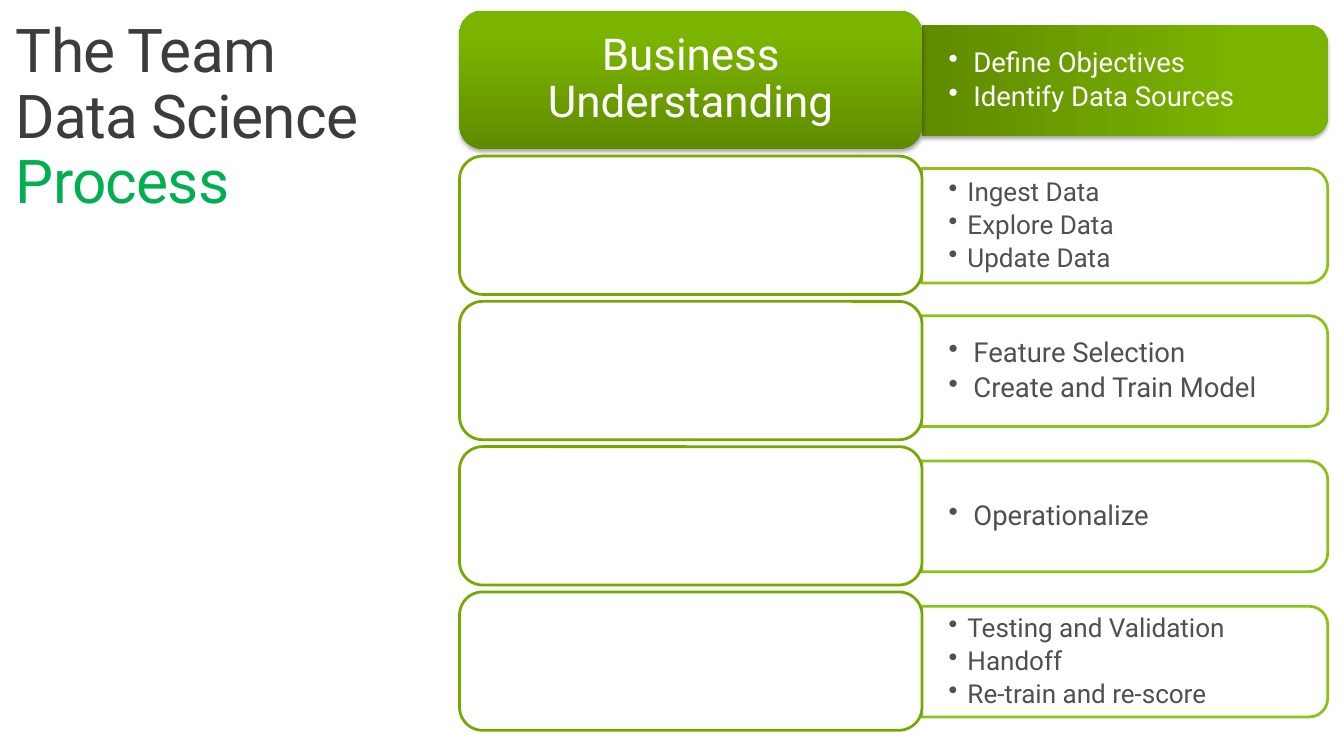
"""Build the slide on the team data science process, with five stages and their steps."""
from lxml import etree
from pptx import Presentation
from pptx import util as u
from pptx.dml.color import RGBColor
from pptx.enum import shapes, text
from pptx.oxml.ns import qn

PX = 9144
FONT = "Roboto"
COLORS = {
    "title": "3C3C3C", "accent": "00B050", "body": "505050", "white": "FFFFFF",
    "dark": "5F8B00", "light": "7BB400", "stage line": "73A900",
    "panel line": "8CC11A", "shadow": "000000",
}
STAGES = [
    ("Business Understanding", ["Define Objectives", "Identify Data Sources"]),
    ("", ["Ingest Data", "Explore Data", "Update Data"]),
    ("", ["Feature Selection", "Create and Train Model"]),
    ("", ["Operationalize"]),
    ("", ["Testing and Validation", "Handoff", "Re-train and re-score"]),
]
STAGE_LEFT, STAGE_TOP, STAGE_WIDTH, STAGE_HEIGHT, PITCH = 465, 11, 468, 140, 147
PANEL_LEFT, PANEL_WIDTH = STAGE_LEFT + STAGE_WIDTH, 411
LIST_WIDTH, LIST_HEIGHT = 405, 101


def add_run(paragraph, words, size, color):
    run = paragraph.add_run()
    run.text = words
    run.font.name = FONT
    run.font.size = u.Pt(size)
    run.font.color.rgb = RGBColor.from_string(COLORS[color])
    return run


def paint(shape, active, line_color):
    shape.shadow.inherit = False
    if not active:
        shape.fill.solid()
        shape.fill.fore_color.rgb = RGBColor.from_string(COLORS["white"])
        shape.line.color.rgb = RGBColor.from_string(COLORS[line_color])
        shape.line.width = u.Pt(2)
        return
    shape.line.fill.background()
    shape.fill.gradient()
    shape.fill.gradient_angle = 90
    for stop, color, position in zip(shape.fill.gradient_stops, ("dark", "light"), (0, 0.8)):
        stop.color.rgb = RGBColor.from_string(COLORS[color])
        stop.position = position
    effects = shape._element.spPr.find(qn("a:effectLst"))
    shadow = etree.SubElement(effects, qn("a:outerShdw"), blurRad=str(u.Pt(3.1)),
                              dist=str(u.Pt(1.8)), dir="5400000", rotWithShape="0")
    shade = etree.SubElement(shadow, qn("a:srgbClr"), val=COLORS["shadow"])
    etree.SubElement(shade, qn("a:alpha"), val="35000")


presentation = Presentation()
presentation.slide_width, presentation.slide_height = 1360 * PX, 765 * PX
slide = presentation.slides.add_slide(presentation.slide_layouts[5])

title = slide.shapes.title
title.left, title.top, title.width, title.height = 0, 11 * PX, 386 * PX, 226 * PX
frame = title.text_frame
frame.word_wrap = True
frame.auto_size = text.MSO_AUTO_SIZE.NONE
frame.vertical_anchor = text.MSO_ANCHOR.TOP
frame.margin_left = frame.margin_right = 16 * PX
frame.margin_top = frame.margin_bottom = 10 * PX
paragraph = frame.paragraphs[0]
paragraph.alignment = text.PP_ALIGN.LEFT
paragraph.line_spacing = 0.9
for words, color in (("The Team Data Science ", "title"), ("Process", "accent")):
    run = add_run(paragraph, words, 44, color)
    run._r.get_or_add_rPr().set("spc", "-60")

for row, (stage_name, steps) in enumerate(STAGES):
    active = row == 0
    crowded = len(steps) > 2
    top = STAGE_TOP + row * PITCH
    middle = top + STAGE_HEIGHT // 2

    panel_height = 116 if row == 1 else 112
    panel = slide.shapes.add_shape(
        shapes.MSO_SHAPE.ROUND_2_SAME_RECTANGLE,
        (PANEL_LEFT + (PANEL_WIDTH - panel_height) // 2) * PX,
        (middle - PANEL_WIDTH // 2) * PX, panel_height * PX, PANEL_WIDTH * PX)
    panel.rotation = 90
    paint(panel, active, "panel line")

    step_list = slide.shapes.add_textbox(PANEL_LEFT * PX, (middle - LIST_HEIGHT // 2) * PX,
                                         LIST_WIDTH * PX, LIST_HEIGHT * PX)
    frame = step_list.text_frame
    frame.word_wrap = True
    frame.vertical_anchor = text.MSO_ANCHOR.MIDDLE
    frame.margin_left = frame.margin_right = 27 * PX
    frame.margin_top = frame.margin_bottom = 14 * PX
    indent = (19 if crowded else 25) * PX
    for index, step in enumerate(steps):
        paragraph = frame.add_paragraph() if index else frame.paragraphs[0]
        paragraph.line_spacing = 0.9
        paragraph.space_after = u.Pt(3.5)
        properties = paragraph._p.get_or_add_pPr()
        properties.set("marL", str(indent))
        properties.set("indent", str(-indent))
        etree.SubElement(properties, qn("a:buChar"), char="•")
        add_run(paragraph, step, 19 if crowded else 20, "white" if active else "body")

    stage = slide.shapes.add_shape(shapes.MSO_SHAPE.ROUNDED_RECTANGLE, STAGE_LEFT * PX,
                                   top * PX, STAGE_WIDTH * PX, STAGE_HEIGHT * PX)
    paint(stage, active, "stage line")
    if stage_name:
        frame = stage.text_frame
        frame.word_wrap = True
        frame.vertical_anchor = text.MSO_ANCHOR.MIDDLE
        frame.margin_left = frame.margin_right = 13 * PX
        frame.margin_top = frame.margin_bottom = 7 * PX
        paragraph = frame.paragraphs[0]
        paragraph.alignment = text.PP_ALIGN.CENTER
        paragraph.line_spacing = 0.9
        add_run(paragraph, stage_name, 32, "white")

presentation.save("out.pptx")
